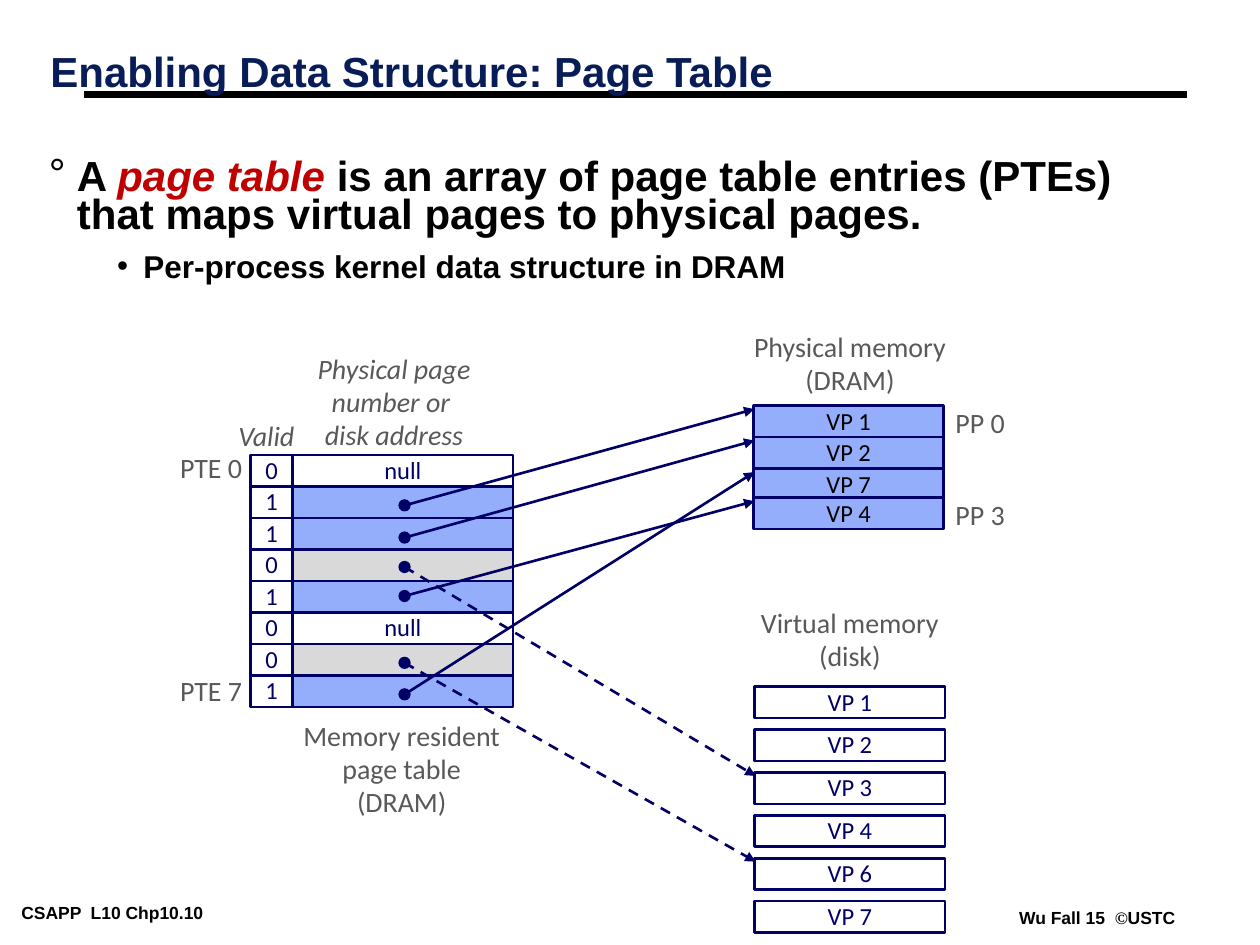
from collections import namedtuple
from dataclasses import dataclass

from lxml import etree
from pptx import Presentation
from pptx.dml.color import RGBColor
from pptx.enum import dml, shapes, text
from pptx.oxml.ns import qn
from pptx.util import Pt

Box = namedtuple("Box", "left top width height")


@dataclass(frozen=True)
class Theme:
    """Colours, fonts and type sizes of the slide."""
    ink: str = "000000"
    title: str = "081D58"
    accent: str = "C00000"
    navy: str = "000066"
    label: str = "595959"
    cached: str = "95AEFC"
    on_disk: str = "D9D9D9"
    empty: str = "FFFFFF"
    heading_font: str = "Arial"
    diagram_font: str = "Calibri"
    symbol_font: str = "Times New Roman"
    heading_size: int = 24
    detail_size: int = 18
    label_size: int = 16
    cell_size: int = 14
    footer_size: int = 10


THEME = Theme()
HEADING = dict(font=THEME.heading_font, bold=True, color=THEME.ink)
PTES = [
    ("0", THEME.empty, "null", None),
    ("1", THEME.cached, "", 28.8),
    ("1", THEME.cached, "", 47.2),
    ("0", THEME.on_disk, "", 64),
    ("1", THEME.cached, "", 80.6),
    ("0", THEME.empty, "null", None),
    ("0", THEME.on_disk, "", 118.8),
    ("1", THEME.cached, "", 136.8),
]
PHYSICAL_PAGES = {"VP 1": 0, "VP 2": 18, "VP 7": 36, "VP 4": 52.6}
DISK_PAGES = ["VP 1", "VP 2", "VP 3", "VP 4", "VP 6", "VP 7"]
MAPPED = {1: "VP 1", 2: "VP 2", 4: "VP 4", 7: "VP 7"}
SWAPPED = {3: "VP 3", 6: "VP 6"}


def inside(box, left, top, width, height):
    """Return a box offset from the corner of another box."""
    return Box(box.left + left, box.top + top, width, height)


def write(frame, paragraphs, *, size, font, color, bold=False, italic=False,
          align="LEFT", anchor="TOP", spacing=None, wrap=False, inset=(7.2, 3.6)):
    """Fill a text frame with paragraphs made of strings or (string, overrides) runs."""
    frame.word_wrap = wrap
    frame.vertical_anchor = text.MSO_ANCHOR[anchor]
    frame.margin_left = frame.margin_right = Pt(inset[0])
    frame.margin_top = frame.margin_bottom = Pt(inset[1])
    base = dict(size=size, font=font, color=color, bold=bold, italic=italic)
    for index, runs in enumerate(paragraphs):
        paragraph = frame.add_paragraph() if index else frame.paragraphs[0]
        paragraph.alignment = text.PP_ALIGN[align]
        paragraph.line_spacing = spacing
        for part in [runs] if isinstance(runs, str) else runs:
            words, changes = (part, {}) if isinstance(part, str) else part
            style = {**base, **changes}
            run = paragraph.add_run()
            run.text = words
            run.font.size = Pt(style["size"])
            run.font.name = style["font"]
            run.font.bold = style["bold"]
            run.font.italic = style["italic"]
            run.font.color.rgb = RGBColor.from_string(style["color"])


def add_text(slide, box, paragraphs, **style):
    """Add a text box and return its frame."""
    frame = slide.shapes.add_textbox(*map(Pt, box)).text_frame
    write(frame, paragraphs, **style)
    return frame


def add_label(slide, box, *lines, align="CENTER", italic=False):
    """Add a grey caption to the diagram."""
    add_text(slide, box, lines, size=THEME.label_size, font=THEME.diagram_font,
             color=THEME.label, align=align, anchor="MIDDLE", spacing=0.98, italic=italic)


def add_cell(slide, box, fill, words="", color=THEME.navy, kind="RECTANGLE", weight=1.5):
    """Add an outlined shape with optional centred text."""
    cell = slide.shapes.add_shape(shapes.MSO_SHAPE[kind], *map(Pt, box))
    cell.shadow.inherit = False
    cell.fill.solid()
    cell.fill.fore_color.rgb = RGBColor.from_string(fill)
    cell.line.color.rgb = RGBColor.from_string(THEME.navy)
    cell.line.width = Pt(weight)
    if words:
        write(cell.text_frame, [words], size=THEME.cell_size, font=THEME.diagram_font,
              color=color, align="CENTER", anchor="MIDDLE", spacing=0.98)


def add_line(slide, start, end, color, weight, dashed=False, arrow=False):
    """Add a straight connector, optionally dashed or with an arrowhead."""
    line = slide.shapes.add_connector(shapes.MSO_CONNECTOR.STRAIGHT, *map(Pt, start + end))
    line.line.color.rgb = RGBColor.from_string(color)
    line.line.width = Pt(weight)
    if dashed:
        line.line.dash_style = dml.MSO_LINE.DASH
    if arrow:
        etree.SubElement(line.line._get_or_add_ln(), qn("a:tailEnd"), type="triangle")
    etree.SubElement(line._element.spPr, qn("a:effectLst"))


def add_bullet(paragraph, mark, margin, hanging):
    """Give a paragraph a bullet with a hanging indent."""
    props = paragraph._p.get_or_add_pPr()
    props.set("marL", str(Pt(margin)))
    props.set("indent", str(-Pt(hanging)))
    tint = etree.SubElement(props, qn("a:buClr"))
    etree.SubElement(tint, qn("a:srgbClr"), val=THEME.ink)
    etree.SubElement(props, qn("a:buFont"), typeface=THEME.heading_font)
    etree.SubElement(props, qn("a:buChar"), char=mark)


def draw_header(slide, box):
    """Draw the title over its rule."""
    rule = box.top + 26
    add_line(slide, (box.left + 24.4, rule), (box.left + 654.4, rule), THEME.ink, 4.5)
    add_text(slide, box, ["Enabling Data Structure: Page Table"], size=THEME.heading_size,
             **{**HEADING, "color": THEME.title}, spacing=0.87, wrap=True, inset=(5, 2.2))


def draw_definition(slide, box):
    """Write the definition and its detail."""
    definition = ["A ", ("page table ", dict(color=THEME.accent, italic=True)),
                  "is an array of page table entries (PTEs) "
                  "that maps virtual pages to physical pages."]
    detail = [("Per-process kernel data structure in DRAM", dict(size=THEME.detail_size))]
    frame = add_text(slide, box, [definition, detail], size=THEME.heading_size, **HEADING,
                     spacing=0.75, wrap=True, inset=(5, 2.2))
    first, second = frame.paragraphs
    add_bullet(first, "°", 16, 16)
    add_bullet(second, "•", 54, 15)
    second.line_spacing = 0.85
    second.space_before = Pt(9)


def draw_page_table(slide, box):
    """Draw the page table and return the centre of each pointer by row."""
    valid, row = 24, box.height / len(PTES)
    for index, (bit, fill, words, _) in enumerate(PTES):
        top = index * row
        add_cell(slide, inside(box, valid, top, box.width - valid, row), fill, words)
        add_cell(slide, inside(box, 0, top, valid, row), THEME.empty, bit)
    add_label(slide, inside(box, -18, -23.7, 54, 26), "Valid", italic=True)
    add_label(slide, inside(box, 31, -62, 102, 64),
              "Physical page", "number or ", "disk address", italic=True)
    add_label(slide, inside(box, valid - 1, 147.6, 126.7, 64),
              "Memory resident", "page table", "(DRAM)")
    for name, top in (("PTE 0", -5), ("PTE 7", 122)):
        add_label(slide, inside(box, -47.5, top, 49.7, 26), name, align="RIGHT")
    centres = {index: (box.left + 88, box.top + pointer)
               for index, (*_, pointer) in enumerate(PTES) if pointer}
    for x, y in centres.values():
        add_cell(slide, Box(x - 3, y - 3, 6, 6), THEME.navy, kind="OVAL", weight=1)
    return centres


def draw_pages(slide, box, tops, fill, color):
    """Draw a column of pages and return the arrow target of each by name."""
    for name, top in tops.items():
        add_cell(slide, inside(box, 0, top, box.width, 18), fill, name, color)
    return {name: (box.left + 0.5, box.top + top + 2) for name, top in tops.items()}


def draw_physical_memory(slide, box):
    """Draw the pages cached in DRAM with their labels."""
    add_label(slide, inside(box, -7.2, -46, 124.6, 44.6), "Physical memory", "(DRAM)")
    for name, page in (("PP 0", "VP 1"), ("PP 3", "VP 4")):
        add_label(slide, inside(box, box.width - 0.5, PHYSICAL_PAGES[page] - 3, 42.5, 26), name)
    return draw_pages(slide, box, PHYSICAL_PAGES, THEME.cached, THEME.ink)


def draw_virtual_memory(slide, box):
    """Draw the pages on disk with their heading."""
    add_label(slide, inside(box, -3.6, -49, 116, 44.6), "Virtual memory", "(disk)")
    pitch = (box.height - 18) / (len(DISK_PAGES) - 1)
    tops = {name: index * pitch for index, name in enumerate(DISK_PAGES)}
    return draw_pages(slide, box, tops, THEME.empty, THEME.navy)


def draw_footer(slide, box):
    """Write the course on the left and the copyright on the right."""
    style = dict(size=THEME.footer_size, **HEADING, inset=(5, 2.2))
    add_text(slide, inside(box, 0, 0, 151, 16), ["CSAPP  L10 Chp10.10"], **style)
    owner = ["Wu Fall 15  ", ("©", dict(font=THEME.symbol_font)), "USTC"]
    add_text(slide, inside(box, box.width - 99.4, 3, 99.4, 16), [owner], **style)


def main():
    """Build the slide and save it."""
    deck = Presentation()
    deck.slide_width, deck.slide_height = Pt(720), Pt(540)
    slide = deck.slides.add_slide(deck.slide_layouts[6])
    draw_footer(slide, Box(7.2, 513.3, 669.6, 19))
    draw_header(slide, Box(23.8, 28, 652, 62))
    draw_definition(slide, Box(23, 90, 654.5, 101.5))
    pointers = draw_page_table(slide, Box(143.2, 260, 150, 144))
    physical = draw_physical_memory(slide, Box(430.6, 231.8, 108.7, 70.6))
    virtual = draw_virtual_memory(slide, Box(431.3, 392.4, 108.7, 140.5))
    for links, targets, dashed in ((MAPPED, physical, False), (SWAPPED, virtual, True)):
        for row, page in links.items():
            add_line(slide, pointers[row], targets[page], THEME.navy, 1.5, dashed, arrow=True)
    deck.save("out.pptx")


if __name__ == "__main__":
    main()
